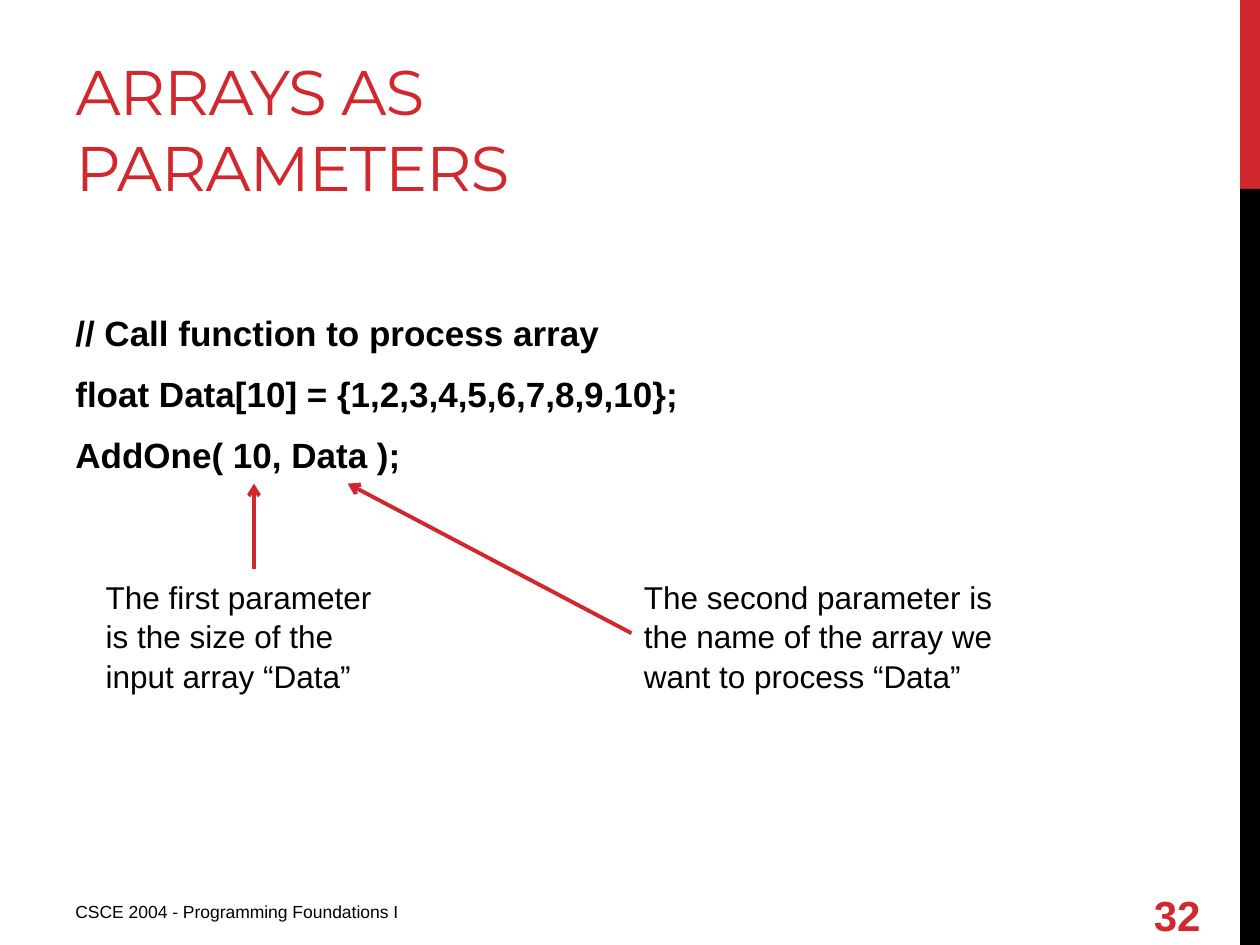
from dataclasses import dataclass

from lxml.etree import SubElement
from pptx import Presentation
from pptx.dml.color import RGBColor
from pptx.enum.shapes import MSO_CONNECTOR as Connector, MSO_SHAPE as Shape
from pptx.enum.text import MSO_ANCHOR as Anchor, MSO_AUTO_SIZE as AutoSize, PP_ALIGN as Align
from pptx.oxml.ns import qn
from pptx.util import Cm, Pt


@dataclass(frozen=True)
class Theme:
    """Colours, fonts and point sizes of the slide."""
    accent: RGBColor = RGBColor(0xD1, 0x28, 0x2E)
    ink: RGBColor = RGBColor(0, 0, 0)
    heading_font: str = "Montserrat"
    body_font: str = "Arial"
    title_size: float = 36
    number_size: float = 24
    code_size: float = 20
    note_size: float = 18
    footer_size: float = 10
    arrow_width: float = 2.25


@dataclass(frozen=True)
class Box:
    """A region in centimetres."""
    left: float
    top: float
    width: float
    height: float

    def inner(self, left, top, width, height):
        """Return a box placed relative to this one."""
        return Box(self.left + left, self.top + top, width, height)

    def lengths(self):
        """Return left, top, width and height as slide lengths."""
        return [Cm(v) for v in (self.left, self.top, self.width, self.height)]


THEME = Theme()


def format_runs(frame, size, color, font=THEME.body_font, bold=False):
    """Give every run of a text frame the same look."""
    for paragraph in frame.paragraphs:
        paragraph.alignment = Align.LEFT
        for run in paragraph.runs:
            run.font.name, run.font.size, run.font.bold = font, Pt(size), bold
            run.font.color.rgb = color


def add_text(slide, box, text, size, color=THEME.ink, bold=False, anchor=Anchor.TOP):
    """Add a wrapped text box and return it."""
    label = slide.shapes.add_textbox(*box.lengths())
    frame = label.text_frame
    frame.word_wrap = True
    frame.vertical_anchor = anchor
    frame.text = text
    format_runs(frame, size, color, bold=bold)
    return label


def add_sidebar(slide, box):
    """Draw the accent band with the dark band below it."""
    accent_height = box.height / 5
    bands = ((0, accent_height, THEME.accent),
             (accent_height, box.height - accent_height, THEME.ink))
    for top, height, color in bands:
        band = slide.shapes.add_shape(Shape.RECTANGLE, *box.inner(0, top, box.width, height).lengths())
        band.shadow.inherit = False
        band.fill.solid()
        band.fill.fore_color.rgb = color
        band.line.fill.background()


def add_title(slide, box, text):
    """Place and format the title placeholder."""
    title = slide.shapes.title
    title.left, title.top, title.width, title.height = box.lengths()
    frame = title.text_frame
    frame.text = text
    frame.auto_size = AutoSize.NONE
    frame.vertical_anchor = Anchor.BOTTOM
    format_runs(frame, THEME.title_size, THEME.accent, THEME.heading_font)
    frame.paragraphs[0].runs[0].font._element.set("spc", "-60")


def add_code(slide, box, lines):
    """Write the code with one paragraph for each line."""
    code = add_text(slide, box, "\n".join(lines), THEME.code_size, bold=True)
    for index, paragraph in enumerate(code.text_frame.paragraphs):
        paragraph.space_before = Pt(5 if index else 0)
        paragraph.space_after = Pt(6)


def add_arrow(slide, note, side, tip_x, tip_y):
    """Draw an arrow from one side of a note to a point."""
    arrow = slide.shapes.add_connector(Connector.STRAIGHT, 0, 0, Cm(tip_x), Cm(tip_y))
    arrow.begin_connect(note, side)
    arrow.line.color.rgb = THEME.accent
    arrow.line.width = Pt(THEME.arrow_width)
    SubElement(arrow.line._get_or_add_ln(), qn("a:tailEnd"), type="arrow")
    SubElement(arrow._element.spPr, qn("a:effectLst"))


def add_notes(slide, box):
    """Explain both arguments with notes that point up at the call."""
    note_top, note_height, first_width, second_left = 1.73, 2.57, 6.48, 10.85
    notes = (
        ("The second parameter is the name of the array we want to process “Data”",
         second_left, box.width - second_left, 1, 5.13),
        ("The first parameter is the size of the input array “Data”",
         0, first_width, 0, first_width / 2),
    )
    for text, left, width, side, tip_x in notes:
        note = add_text(slide, box.inner(left, note_top, width, note_height), text, THEME.note_size)
        note.text_frame.paragraphs[0].line_spacing = 1.05
        add_arrow(slide, note, side, box.left + tip_x, box.top)


def add_footer(slide, box, course, number):
    """Write the course name on the left and the page number on the right."""
    number_width = 1.88
    add_text(slide, box.inner(0, 0.1, 9.53, 0.79), course, THEME.footer_size)
    add_text(slide, box.inner(box.width - number_width, 0, number_width, box.height),
             number, THEME.number_size, THEME.accent, True, Anchor.MIDDLE)


def main():
    """Build the slide and save it."""
    deck = Presentation()
    deck.slide_width, deck.slide_height = Cm(25.4), Cm(19.05)
    slide = deck.slides.add_slide(deck.slide_layouts[5])
    add_sidebar(slide, Box(25, 0, 0.4, 19.05))
    add_title(slide, Box(1.27, 0.43, 16.08, 3.81), "ARRAYS AS PARAMETERS")
    add_code(slide, Box(1.27, 6.15, 21.16, 3.6), (
        "// Call function to process array",
        "float Data[10] = {1,2,3,4,5,6,7,8,9,10};",
        "AddOne( 10, Data );",
    ))
    add_notes(slide, Box(1.88, 9.75, 19.08, 4.3))
    add_footer(slide, Box(1.27, 17.93, 23.62, 1.02), "CSCE 2004 - Programming Foundations I", "32")
    deck.save("out.pptx")


if __name__ == "__main__":
    main()
